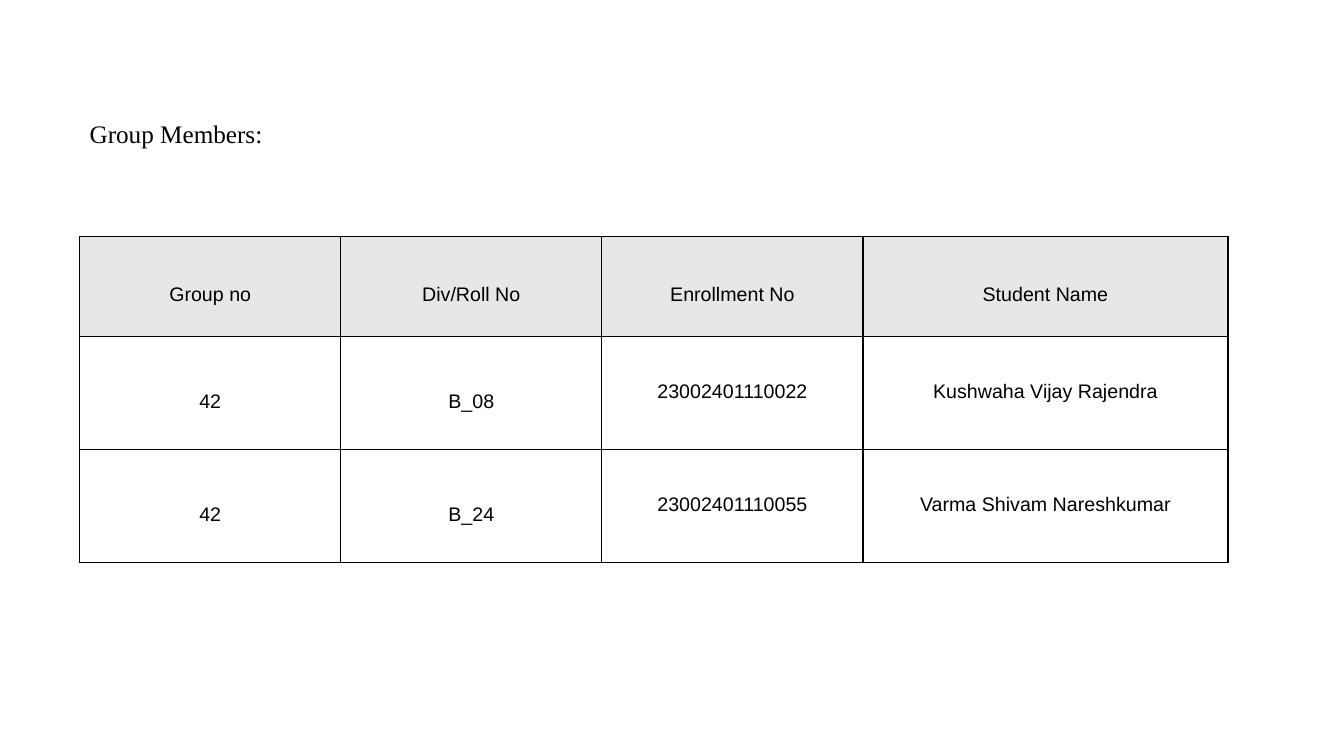
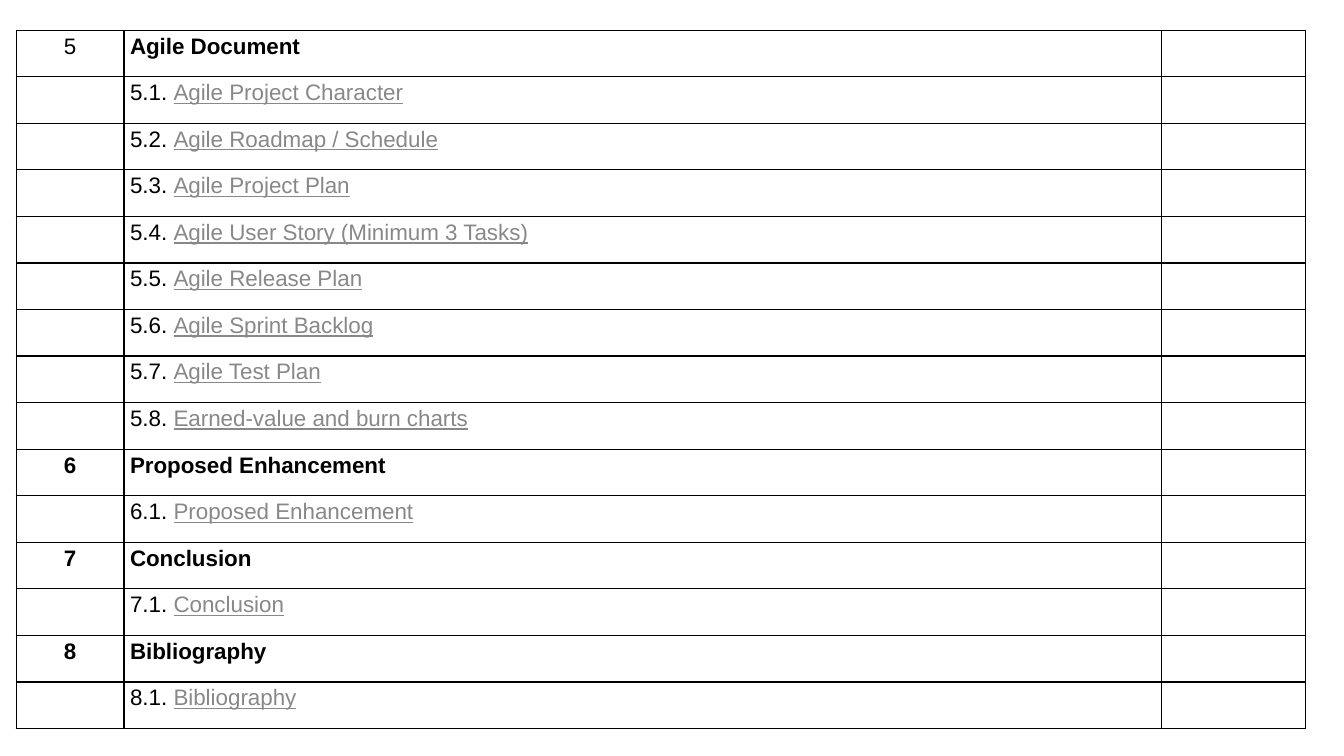
"""Build the group members slide and the agile contents slide."""
from dataclasses import dataclass
from typing import Optional

from lxml import etree
from pptx import Presentation
from pptx.dml.color import RGBColor
from pptx.enum.text import MSO_ANCHOR, PP_ALIGN
from pptx.oxml.ns import qn
from pptx.util import Inches, Pt

LEFT = PP_ALIGN.LEFT
CENTER = PP_ALIGN.CENTER
TOP = MSO_ANCHOR.TOP


@dataclass(frozen=True)
class Theme:
    ink: str = "000000"
    link: str = "888888"
    header: str = "E7E7E7"
    body_font: str = "Arial"
    title_font: str = "Times New Roman"
    title_size: int = 18
    member_size: int = 14
    contents_size: int = 16
    border: float = 1


@dataclass(frozen=True)
class Label:
    text: str
    bold: bool = False
    link: bool = False


@dataclass(frozen=True)
class Cell:
    labels: tuple[Label, ...] = ()
    align: PP_ALIGN = LEFT
    spacing: float = 1.15
    top: float = 0
    fill: Optional[str] = None


@dataclass(frozen=True)
class Grid:
    left: float
    top: float
    cols: tuple[float, ...]
    rows: tuple[float, ...]
    size: int
    inset: float
    cells: list[list[Cell]]


@dataclass(frozen=True)
class Section:
    number: str
    title: str
    topics: tuple[str, ...]
    bold_number: bool = True


THEME = Theme()
HEADINGS = ("Group no", "Div/Roll No", "Enrollment No", "Student Name")
MEMBERS = (
    ("42", "B_08", "23002401110022", "Kushwaha Vijay Rajendra"),
    ("42", "B_24", "23002401110055", "Varma Shivam Nareshkumar"),
)
MEMBER_TOPS = (0.43, 0.43, 0.33, 0.33)
SECTIONS = (
    Section("5", "Agile Document", (
        "Agile Project Character",
        "Agile Roadmap / Schedule",
        "Agile Project Plan",
        "Agile User Story (Minimum 3 Tasks)",
        "Agile Release Plan",
        "Agile Sprint Backlog",
        "Agile Test Plan",
        "Earned-value and burn charts",
    ), bold_number=False),
    Section("6", "Proposed Enhancement", ("Proposed Enhancement",)),
    Section("7", "Conclusion", ("Conclusion",)),
    Section("8", "Bibliography", ("Bibliography",)),
)


def style_run(r, font: str, size: int, color: str) -> None:
    r.font.name = font
    r.font.size = Pt(size)
    r.font.color.rgb = RGBColor.from_string(color)


def add_borders(cell) -> None:
    props = cell._tc.get_or_add_tcPr()
    for i, side in enumerate(("lnL", "lnR", "lnT", "lnB")):
        line = etree.Element(qn(f"a:{side}"), w=str(Pt(THEME.border)))
        fill = etree.SubElement(line, qn("a:solidFill"))
        etree.SubElement(fill, qn("a:srgbClr"), val=THEME.ink)
        props.insert(i, line)


def draw_cell(cell, data: Cell, grid: Grid) -> None:
    cell.margin_left = cell.margin_right = Inches(grid.inset)
    cell.margin_top = Inches(data.top)
    cell.margin_bottom = 0
    cell.vertical_anchor = TOP
    if data.fill:
        cell.fill.solid()
        cell.fill.fore_color.rgb = RGBColor.from_string(data.fill)
    else:
        cell.fill.background()
    add_borders(cell)
    p = cell.text_frame.paragraphs[0]
    p.alignment = data.align
    p.line_spacing = data.spacing
    for label in data.labels:
        r = p.add_run()
        r.text = label.text
        style_run(r, THEME.body_font, grid.size, THEME.link if label.link else THEME.ink)
        r.font.bold = label.bold
        r.font.underline = label.link


def draw_grid(s, grid: Grid) -> None:
    frame = s.shapes.add_table(
        len(grid.rows), len(grid.cols), Inches(grid.left), Inches(grid.top),
        Inches(sum(grid.cols)), Inches(sum(grid.rows)))
    table = frame.table
    table.first_row = table.horz_banding = False
    for col, width in zip(table.columns, grid.cols):
        col.width = Inches(width)
    for row, height, cells in zip(table.rows, grid.rows, grid.cells):
        row.height = Inches(height)
        for cell, data in zip(row.cells, cells):
            draw_cell(cell, data, grid)


def draw_title(s, text: str) -> None:
    sp = s.shapes.add_textbox(Inches(0.79), Inches(1.1), Inches(11.38), Inches(0.71))
    tf = sp.text_frame
    tf.word_wrap = True
    tf.margin_top = Inches(0.07)
    tf.text = text
    style_run(tf.paragraphs[0].runs[0], THEME.title_font, THEME.title_size, THEME.ink)


def member_cells() -> list[list[Cell]]:
    header = [Cell((Label(text),), CENTER, top=0.43, fill=THEME.header) for text in HEADINGS]
    rows = [[Cell((Label(text),), CENTER, 1.5, top) for text, top in zip(member, MEMBER_TOPS)]
            for member in MEMBERS]
    return [header, *rows]


def contents_cells() -> list[list[Cell]]:
    rows = []
    for section in SECTIONS:
        number = Cell((Label(section.number, section.bold_number),), CENTER)
        rows.append([number, Cell((Label(section.title, bold=True),)), Cell()])
        for i, topic in enumerate(section.topics, 1):
            labels = (Label(f"{section.number}.{i}. "), Label(topic, link=True))
            rows.append([Cell(), Cell(labels), Cell()])
    return rows


def main() -> None:
    prs = Presentation()
    prs.slide_width, prs.slide_height = Inches(13.33), Inches(7.5)
    blank = prs.slide_layouts[6]

    s = prs.slides.add_slide(blank)
    draw_grid(s, Grid(0.79, 2.35, (2.59, 2.59, 2.59, 3.62), (0.99, 1.12, 1.12),
                      THEME.member_size, 0.07, member_cells()))
    draw_title(s, "Group Members:")

    s = prs.slides.add_slide(blank)
    cells = contents_cells()
    heights = (6.93 / len(cells),) * len(cells)
    draw_grid(s, Grid(0.16, 0.3, (1.07, 10.29, 1.43), heights,
                      THEME.contents_size, 0.06, cells))

    prs.save("out.pptx")


if __name__ == "__main__":
    main()
